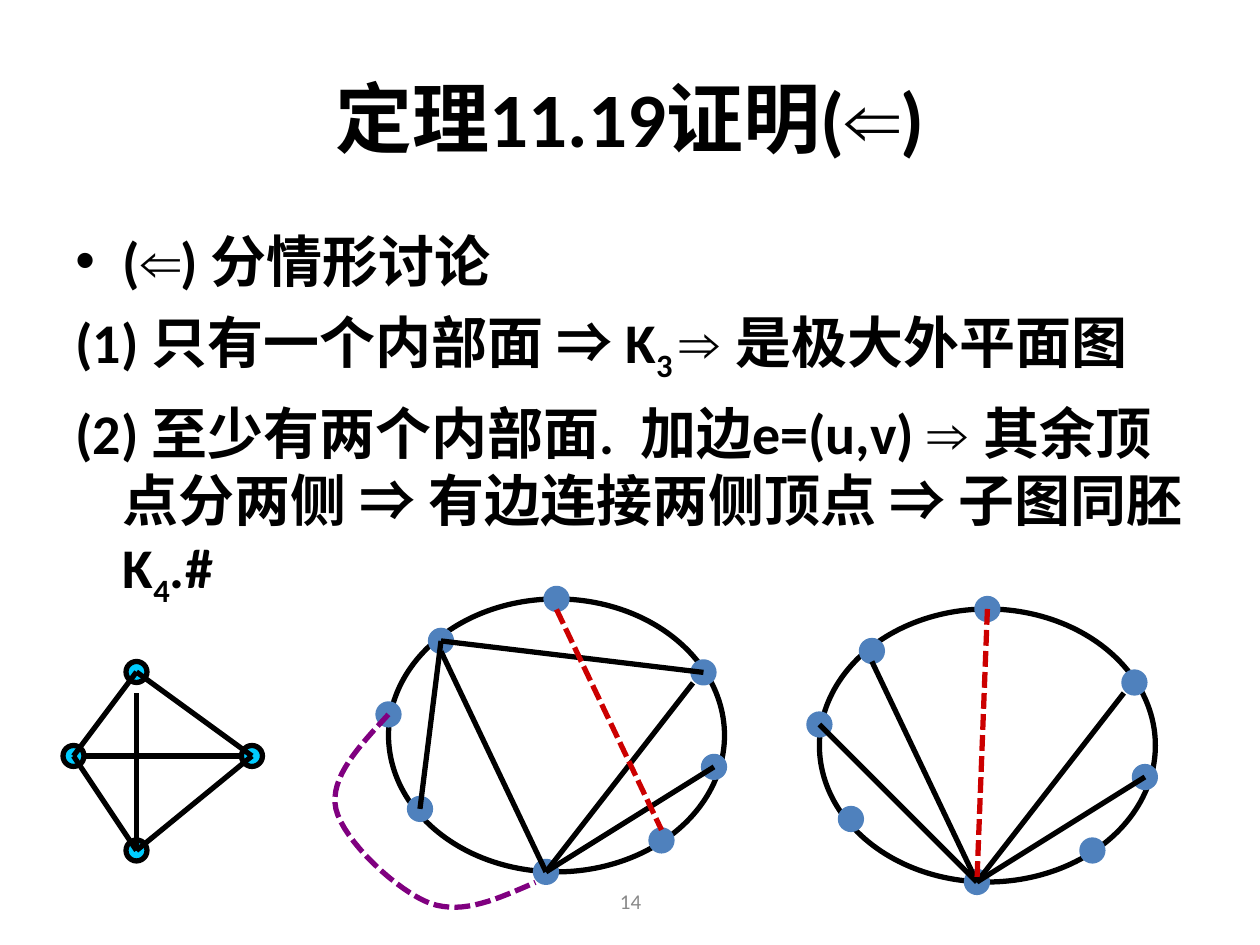
from lxml import etree
from pptx import Presentation
from pptx.dml.color import RGBColor
from pptx.enum.dml import MSO_LINE
from pptx.enum.shapes import MSO_CONNECTOR, MSO_SHAPE
from pptx.enum.text import MSO_ANCHOR, PP_ALIGN
from pptx.oxml.ns import qn
from pptx.util import Inches, Pt

STRAIGHT, OVAL = MSO_CONNECTOR.STRAIGHT, MSO_SHAPE.OVAL
DOTTED = MSO_LINE.SQUARE_DOT
TOP, MIDDLE = MSO_ANCHOR.TOP, MSO_ANCHOR.MIDDLE
CENTER, LEFT = PP_ALIGN.CENTER, PP_ALIGN.LEFT

CELL = 1 / 12  # drawing grid, inches
BLACK, RED, PURPLE = "000000", "CC0000", "800080"
CYAN, BLUE, GREY = "00CCFF", "4F81BD", "898989"
SUB = -25000
INDENT = 0.375

# Runs are (text, font, baseline shift)
TITLE = [("定理11.19证明(", "Calibri", 0), ("⇐", "Arial", 0), (")", "Calibri", 0)]
BODY = [
    [("(", "Calibri", 0), ("⇐", "Arial", 0), (") 分情形讨论", "Calibri", 0)],
    [("(1) 只有一个内部面 ", "Calibri", 0), ("⇒ ", "Arial", 0),
     ("K", "Calibri", 0), ("3 ", "Calibri", SUB), ("⇒ ", "Arial", 0),
     ("是极大外平面图", "Calibri", 0)],
    [("(2) 至少有两个内部面.  加边e=(u,v) ", "Calibri", 0), ("⇒ ", "Arial", 0),
     ("其余顶点分两侧 ", "Calibri", 0), ("⇒", "Arial", 0),
     (" 有边连接两侧顶点 ", "Calibri", 0), ("⇒", "Arial", 0),
     (" 子图同胚K", "Calibri", 0), ("4", "Calibri", SUB),
     (".\t#", "Calibri", 0)],
]

# Vertices as (column, row) within each graph's box
KITE = {"top": (7, 1), "left": (1, 9), "right": (18, 9), "bottom": (7, 18)}
KITE_EDGES = [((1, 9), (7, 1)), ((2, 9), (17, 9)), ((7, 1), (18, 9)),
              ((1, 9), (7, 18)), ((7, 18), (7, 3)), ((7, 18), (18, 9))]
RING = [(16, 27), (17, 1), (6, 5), (4, 21), (32, 17), (31, 8), (1, 12), (27, 24)]
FAN_EDGES = [((16, 27), (30, 9)), ((6, 6), (16, 27)), ((16, 27), (32, 17))]
CHORDED = FAN_EDGES + [((6, 5), (31, 8)), ((4, 21), (6, 5))]
FANNED = FAN_EDGES + [((1, 12), (16, 27))]
DETOUR = [(1, 12), (-1.75, 15), (-4.65, 18), (-4, 21), (-3.3, 24), (1.8, 28.8),
          (5, 30), (8.2, 31.1), (11.5, 29.5), (15, 28)]


def color(code):
    return RGBColor.from_string(code)


def point(box, cell):
    return tuple(Inches(start + step * CELL) for start, step in zip(box, cell))


def style_line(line, code, dash=None):
    line.color.rgb = color(code)
    line.width = Pt(3)
    if dash:
        line.dash_style = dash


def add_oval(page, box, center, width, height, fill, outline):
    left, top = point(box, (center[0] - width / 2, center[1] - height / 2))
    oval = page.shapes.add_shape(
        OVAL, left, top, Inches(width * CELL), Inches(height * CELL))
    oval.shadow.inherit = False
    if fill:
        oval.fill.solid()
        oval.fill.fore_color.rgb = color(fill)
    else:
        oval.fill.background()
    style_line(oval.line, outline)


def add_edge(page, box, ends, code=BLACK, dash=None):
    start, end = ends
    edge = page.shapes.add_connector(STRAIGHT, *point(box, start), *point(box, end))
    style_line(edge.line, code, dash)
    etree.SubElement(edge._element.spPr, qn("a:effectLst"))


def add_curve(page, box, controls, code):
    """Dotted path through a chain of cubic Bezier pieces."""
    steps = 16
    path = []
    for first in range(0, len(controls) - 1, 3):
        piece = controls[first:first + 4]
        for step in range(1, steps + 1):
            t = step / steps
            weights = ((1 - t) ** 3, 3 * t * (1 - t) ** 2, 3 * t * t * (1 - t), t ** 3)
            path.append(point(box, [sum(w * p[axis] for w, p in zip(weights, piece))
                                    for axis in (0, 1)]))
    builder = page.shapes.build_freeform(*point(box, controls[0]))
    builder.add_line_segments(path, close=False)
    curve = builder.convert_to_shape()
    curve.shadow.inherit = False
    curve.fill.background()
    style_line(curve.line, code, DOTTED)


def add_text(page, box, paragraphs, size, code, bold, align, anchor):
    frame = page.shapes.add_textbox(*map(Inches, box)).text_frame
    frame.word_wrap = True
    frame.vertical_anchor = anchor
    for index, runs in enumerate(paragraphs):
        para = frame.add_paragraph() if index else frame.paragraphs[0]
        para.alignment = align
        if index:
            para.space_before = Pt(8)
        for text, font, shift in runs:
            span = para.add_run()
            span.text = text
            span.font.name = font
            span.font.size = Pt(size)
            span.font.bold = bold
            span.font.color.rgb = color(code)
            if shift:
                span.font._element.set("baseline", str(shift))
    return frame


def add_body(page, box):
    frame = add_text(page, box, BODY, 32, BLACK, True, LEFT, TOP)
    for index, para in enumerate(frame.paragraphs):
        props = para._p.get_or_add_pPr()
        props.set("marL", str(Inches(INDENT)))
        props.set("indent", str(-Inches(INDENT)))
        if index == 0:
            etree.SubElement(props, qn("a:buFont"), typeface="Arial")
            etree.SubElement(props, qn("a:buChar"), char="•")
        else:
            etree.SubElement(props, qn("a:buNone"))
    # Stop for the closing end-of-proof mark
    stops = etree.SubElement(props, qn("a:tabLst"))
    etree.SubElement(stops, qn("a:tab"), pos=str(Inches(1.92)), algn="l")


def add_kite(page, box):
    for vertex in KITE.values():
        add_oval(page, box, vertex, 2, 2, CYAN, BLACK)
    for ends in KITE_EDGES:
        add_edge(page, box, ends)


def add_ring(page, box, edges, added_edge):
    add_oval(page, box, (17, 14), 32, 26, None, BLACK)
    for vertex in RING:
        add_oval(page, box, vertex, 2, 2, BLUE, BLUE)
    for ends in edges:
        add_edge(page, box, ends)
    add_edge(page, box, added_edge, RED, DOTTED)


def main():
    deck = Presentation()
    deck.slide_width, deck.slide_height = Inches(10), Inches(7.5)
    page = deck.slides.add_slide(deck.slide_layouts[6])

    # Text regions
    add_text(page, (3.42, 6.95, 3.17, 0.4), [[("14", "Calibri", 0)]],
             12, GREY, False, CENTER, MIDDLE)
    add_text(page, (0.5, 0.3, 9, 1.25), [TITLE], 44, BLACK, True, CENTER, MIDDLE)
    add_body(page, (0.5, 1.75, 9, 4.95))

    # Graphs, left to right
    add_kite(page, (0.5, 5.25))
    middle = (3, 4.67)
    add_ring(page, middle, CHORDED, ((17, 2), (27, 23)))
    add_curve(page, middle, DETOUR, PURPLE)
    add_ring(page, (6.42, 4.75), FANNED, ((17, 1), (16, 27)))

    deck.save("out.pptx")


if __name__ == "__main__":
    main()
